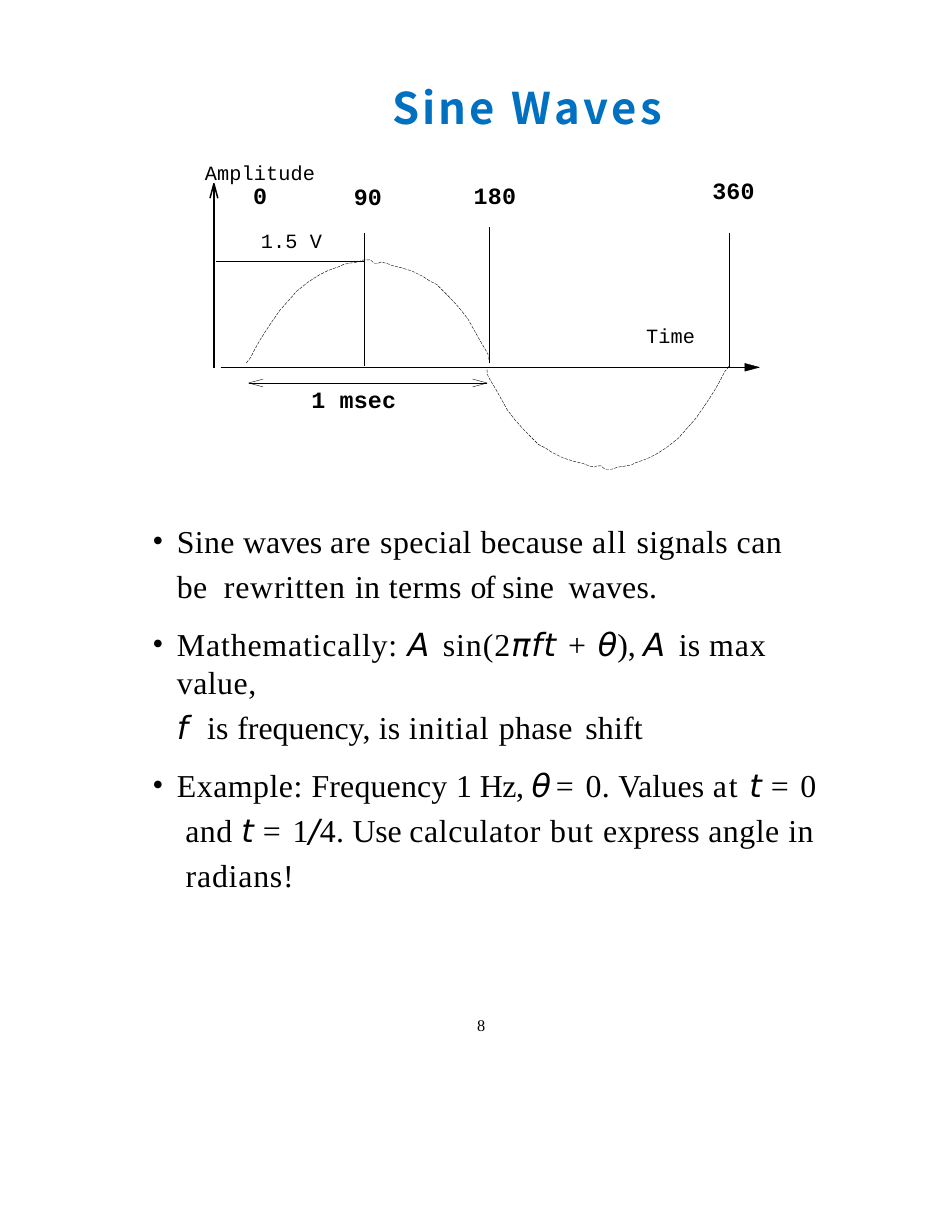
from lxml import etree
from pptx import Presentation, util as u
from pptx.dml.color import RGBColor
from pptx.enum import dml, shapes, text
from pptx.oxml.ns import qn

THEME = dict(
    ink=RGBColor(0, 0, 0), blue=RGBColor(0x00, 0x70, 0xC0),
    head="Noto Sans CJK TC", mono="Courier New",
    body="Times New Roman", math="DejaVu Sans",
    title=28, label=13, mark=15, text=20.5, page=10.5,
    thin=0.25, bold=0.95,
)

TITLE = [("Sine ", 2.1), ("Waves", 2.3)]
LABELS = [
    ("Amplitude", 1.83, 1.43, 1.2),
    ("1.5 V", 2.33, 2.04, 0.7),
    ("Time", 5.77, 2.89, 0.6),
]
MARKS = [
    ("0", 2.26, 1.62, 0.3),
    ("90", 3.16, 1.63, 0.3),
    ("180", 4.23, 1.62, 0.5),
    ("360", 6.36, 1.57, 0.5),
    ("1 msec", 2.78, 3.44, 1),
]
LINES = [
    (1.97, 3.28, 6.78, 3.28, "thin"),
    (1.91, 1.64, 1.91, 3.29, "bold"),
    (1.93, 2.33, 3.25, 2.33, "thin"),
    (2.22, 3.42, 4.35, 3.42, "thin"),
    (3.25, 2.08, 3.25, 3.27, "thin"),
    (4.37, 2.03, 4.37, 3.24, "thin"),
    (6.51, 2.08, 6.51, 3.29, "thin"),
]
HEADS = [
    (6.78, 3.28, -1, 0, "thin", True),
    (1.91, 1.64, 0, 1, "bold", False),
    (2.22, 3.42, 1, 0, "thin", False),
    (4.35, 3.42, -1, 0, "thin", False),
]
HEAD_LONG, HEAD_HALF = 0.13, 0.035

CREST = [
    (2.2, 3.24), (2.24, 3.19), (2.28, 3.11), (2.32, 3.04), (2.37, 2.96),
    (2.43, 2.87), (2.5, 2.77), (2.58, 2.68), (2.65, 2.6), (2.7, 2.56),
    (2.75, 2.52), (2.81, 2.48), (2.86, 2.45), (2.92, 2.42), (2.97, 2.4),
    (3.03, 2.38), (3.07, 2.36), (3.12, 2.35), (3.19, 2.34), (3.25, 2.32),
    (3.3, 2.32), (3.32, 2.33), (3.34, 2.35), (3.38, 2.35), (3.4, 2.34),
    (3.45, 2.35), (3.5, 2.37), (3.58, 2.39), (3.68, 2.42), (3.78, 2.47),
    (3.84, 2.51), (3.9, 2.54), (3.95, 2.59), (4.03, 2.67), (4.11, 2.76),
    (4.18, 2.85), (4.23, 2.94), (4.28, 3.03), (4.34, 3.13), (4.36, 3.17),
    (4.36, 3.21),
]
TURN = (8.71, 6.51)

BREAK = ("\n", 0)
BODY = [
    (True, 1.17, 0, [
        ("Sine ", 0.2), ("waves ", -0.1), ("are ", 0.5), ("special ", 0.3),
        ("because ", 0.2), ("all ", 0.7), ("signals can", 0.3), BREAK,
        ("be", 0.2), (" ", 5.3), ("rewritten ", 0.5), ("in ", 0.2),
        ("terms ", 0.3), ("of ", -0.9), ("sine", 0.1), (" ", 4),
        ("waves.", 0.1)]),
    (True, 1, 12.9, [
        ("Mathematically: ", 0.55), ("A ", 1.1, "math"), ("sin(2", 0.6),
        ("πft ", 0.6, "math"), ("+ ", 1.2), ("θ", -0.2, "math"),
        ("), ", -0.2), ("A ", 1.1, "math"), ("is ", 0.2), ("max ", 0.6),
        ("value,", 0.3)]),
    (False, 1, 4, [
        ("f ", 2.8, "math"), ("is ", 0.2), ("frequency, ", 0), ("is ", 0.2),
        ("initial ", 0.6), ("phase", 0.2), (" ", 2.8), ("shift", 0.1)]),
    (True, 1.17, 8.8, [
        ("Example: ", 0.3), ("Frequency ", 0.1), ("1 ", -0.1), ("Hz, ", -0.3),
        ("θ ", -3.4, "math"), ("= ", 1.2), ("0. ", 0.2), ("Values ", 0.1),
        ("at ", 1.2), ("t ", -0.8, "math"), ("= ", 1.2), ("0", -0.1), BREAK,
        (" and ", 0.3), ("t ", -0.8, "math"), ("= ", 1.2), ("1", 0.2),
        ("/", 0.2, "math"), ("4. ", 0.2), ("Use ", -0.2),
        ("calculator ", 0.4), ("but ", 0.7), ("express ", 0.1),
        ("angle ", 0.3), ("in", 0.2), BREAK, (" radians!", 0.5)]),
]

deck = Presentation()
deck.slide_width, deck.slide_height = u.Inches(8.5), u.Inches(11)
page = deck.slides.add_slide(deck.slide_layouts[5])


def frame(box):
    body = box.text_frame
    body.word_wrap = True
    body.auto_size = text.MSO_AUTO_SIZE.NONE
    body.vertical_anchor = text.MSO_ANCHOR.TOP
    body.margin_left = body.margin_right = 0
    body.margin_top = body.margin_bottom = 0
    return body


def add_box(x, y, w, h):
    return frame(page.shapes.add_textbox(*map(u.Inches, (x, y, w, h))))


def add_runs(para, runs, face, size, bold=False, tint="ink"):
    for words, gap, *kind in runs:
        if words == "\n":
            para.add_line_break()
            continue
        run = para.add_run()
        run.text = words
        font = run.font
        font.name = THEME[kind[0] if kind else face]
        font.size = u.Pt(THEME[size])
        font.bold, font.italic = bold, bool(kind)
        font.color.rgb = THEME[tint]
        run._r.get_or_add_rPr().set("spc", str(round(gap * 100)))


def add_path(dots, width, dash=None, fill=False):
    dots = [(u.Inches(x), u.Inches(y)) for x, y in dots]
    pen = page.shapes.build_freeform(*dots[0])
    pen.add_line_segments(dots[1:], close=fill)
    form = pen.convert_to_shape()
    form.shadow.inherit = False
    form.line.color.rgb = THEME["ink"]
    form.line.width = u.Pt(THEME[width])
    if dash:
        form.line.dash_style = dash
    if fill:
        form.fill.solid()
        form.fill.fore_color.rgb = THEME["ink"]
    else:
        form.fill.background()


title = page.shapes.title
title.left, title.top, title.width, title.height = map(
    u.Inches, (3.5, 0.72, 3.26, 0.56))
para = frame(title).paragraphs[0]
para.alignment = text.PP_ALIGN.LEFT
add_runs(para, TITLE, "head", "title", True, "blue")

for x1, y1, x2, y2, width in LINES:
    line = page.shapes.add_connector(
        shapes.MSO_CONNECTOR.STRAIGHT, *map(u.Inches, (x1, y1, x2, y2)))
    line.line.color.rgb = THEME["ink"]
    line.line.width = u.Pt(THEME[width])
    etree.SubElement(line._element.spPr, qn("a:effectLst"))

for x, y, dx, dy, width, fill in HEADS:
    bx, by = x + dx * HEAD_LONG, y + dy * HEAD_LONG
    ox, oy = dy * HEAD_HALF, dx * HEAD_HALF
    add_path([(bx - ox, by - oy), (x, y), (bx + ox, by + oy)], width, fill=fill)

trough = [(TURN[0] - x, TURN[1] - y) for x, y in CREST]
for wave in (CREST, trough):
    add_path(wave, "thin", dml.MSO_LINE.LONG_DASH)

for group, size, bold in ((LABELS, "label", False), (MARKS, "mark", True)):
    for words, x, y, w in group:
        para = add_box(x, y, w, 0.25).paragraphs[0]
        add_runs(para, [(words, 0.1)], "mono", size, bold)

body = add_box(1.35, 4.6, 6.02, 3.06)
for i, (dot, pitch, before, runs) in enumerate(BODY):
    para = body.add_paragraph() if i else body.paragraphs[0]
    props = para._p.get_or_add_pPr()
    props.set("marL", str(u.Inches(0.23)))
    if dot:
        props.set("indent", str(u.Inches(-0.22)))
        etree.SubElement(props, qn("a:buFont"), typeface=THEME["body"])
        etree.SubElement(props, qn("a:buChar"), char="•")
        tabs = etree.SubElement(props, qn("a:tabLst"))
        etree.SubElement(tabs, qn("a:tab"), pos=str(u.Inches(0.23)), algn="l")
    para.line_spacing = pitch
    para.space_before = u.Pt(before)
    add_runs(para, runs, "body", "text")

para = add_box(4.26, 9.07, 0.2, 0.18).paragraphs[0]
para.line_spacing = u.Pt(12.3)
add_runs(para, [("8", -0.1)], "body", "page")

deck.save("out.pptx")
